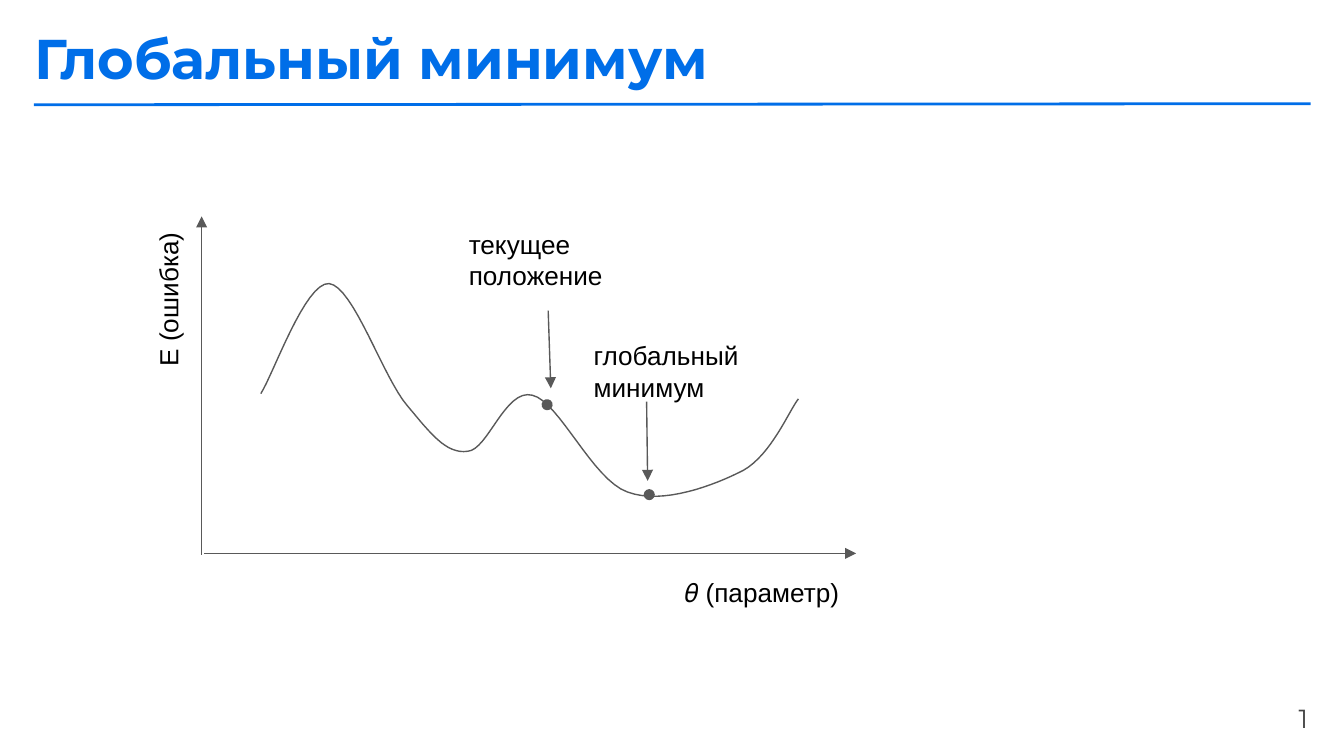
"""Build a slide showing the global minimum of an error curve."""
from lxml import etree
from pptx import Presentation
from pptx.dml.color import RGBColor
from pptx.enum.shapes import MSO_CONNECTOR
from pptx.enum.text import PP_ALIGN
from pptx.oxml.ns import qn
from pptx.util import Cm, Pt

STRAIGHT = MSO_CONNECTOR.STRAIGHT
LEFT, RIGHT = PP_ALIGN.LEFT, PP_ALIGN.RIGHT
BLUE = RGBColor(0x00, 0x6E, 0xE8)
GREY = RGBColor(0x59, 0x59, 0x59)
DARK = RGBColor(0x43, 0x43, 0x43)
BLACK = RGBColor(0x00, 0x00, 0x00)
INSET = Cm(0.25)
STEPS = 16
CURVE_START = (4.93, 7.44)
CURVE = [
    ((5.16, 7.09), (5.77, 5.33), (6.22, 5.36)),
    ((6.68, 5.41), (7.24, 7.14), (7.70, 7.67)),
    ((8.13, 8.18), (8.43, 8.59), (8.84, 8.53)),
    ((9.22, 8.51), (9.55, 7.34), (10.06, 7.47)),
    ((10.57, 7.59), (11.20, 9.07), (11.86, 9.30)),
    ((12.52, 9.55), (13.51, 9.17), (14.05, 8.89)),
    ((14.58, 8.59), (14.91, 7.77), (15.09, 7.54)),
]


def add_text(s, text, box, size=14, font="Arial", color=BLACK, bold=False,
             align=LEFT, rotation=0):
    tb = s.shapes.add_textbox(*map(Cm, box))
    tb.rotation = rotation
    tf = tb.text_frame
    tf.word_wrap = True
    tf.margin_left = tf.margin_right = tf.margin_top = tf.margin_bottom = INSET
    tf.text = text
    p = tf.paragraphs[0]
    p.alignment = align
    f = p.runs[0].font
    f.name, f.size, f.bold = font, Pt(size), bold
    f.color.rgb = color


def add_line(s, start, end, color=GREY, width=0.75, head=None):
    ln = s.shapes.add_connector(STRAIGHT, *map(Cm, start + end))
    ln.line.color.rgb = color
    ln.line.width = Pt(width)
    if head:
        etree.SubElement(ln.line._get_or_add_ln(), qn("a:tailEnd"), type=head)
    etree.SubElement(ln._element.spPr, qn("a:effectLst"))


def bezier(points, t):
    weights = ((1 - t) ** 3, 3 * t * (1 - t) ** 2, 3 * t ** 2 * (1 - t), t ** 3)
    return tuple(Cm(sum(w * pt[axis] for w, pt in zip(weights, points)))
                 for axis in (0, 1))


def add_curve(s, start, segments):
    fb = s.shapes.build_freeform(Cm(start[0]), Cm(start[1]))
    for segment in segments:
        points = (start, *segment)
        fb.add_line_segments(
            [bezier(points, i / STEPS) for i in range(1, STEPS + 1)], close=False)
        start = segment[-1]
    sp = fb.convert_to_shape()
    sp.shadow.inherit = False
    sp.fill.background()
    sp.line.color.rgb = GREY
    sp.line.width = Pt(0.75)


def main():
    prs = Presentation()
    prs.slide_width, prs.slide_height = Cm(25.4), Cm(14.29)
    s = prs.slides.add_slide(prs.slide_layouts[6])

    add_text(s, "Глобальный минимум", (0.41, 0.2, 19.08, 1.78),
             30, "Montserrat", BLUE, bold=True)
    add_line(s, (0.64, 1.98), (24.77, 1.96), BLUE, 1.5)
    add_text(s, "1", (23.47, 13.03, 1.5, 0.99), 14, "Montserrat", DARK,
             align=RIGHT)

    add_curve(s, CURVE_START, CURVE)
    add_text(s, "E (ошибка)", (2.29, 4.45, 3.07, 2.39), rotation=270)
    add_text(s, "𝜃 (параметр)", (12.7, 10.64, 4.29, 2.39))
    add_text(s, "глобальный минимум", (10.97, 6.17, 5.23, 1.47))
    add_text(s, "текущее положение", (8.61, 4.06, 4.29, 1.47))

    axes = [((3.81, 10.49), (3.81, 4.09)), ((3.86, 10.46), (16.18, 10.46))]
    pointers = [((12.22, 7.59), (12.24, 9.09)), ((10.36, 5.87), (10.41, 7.34))]
    for start, end in axes + pointers:
        add_line(s, start, end, head="triangle")
    markers = [((12.19, 9.35), (12.27, 9.35)), ((10.29, 7.67), (10.34, 7.65))]
    for start, end in markers:
        add_line(s, start, end, head="oval")

    prs.save("out.pptx")


if __name__ == "__main__":
    main()
